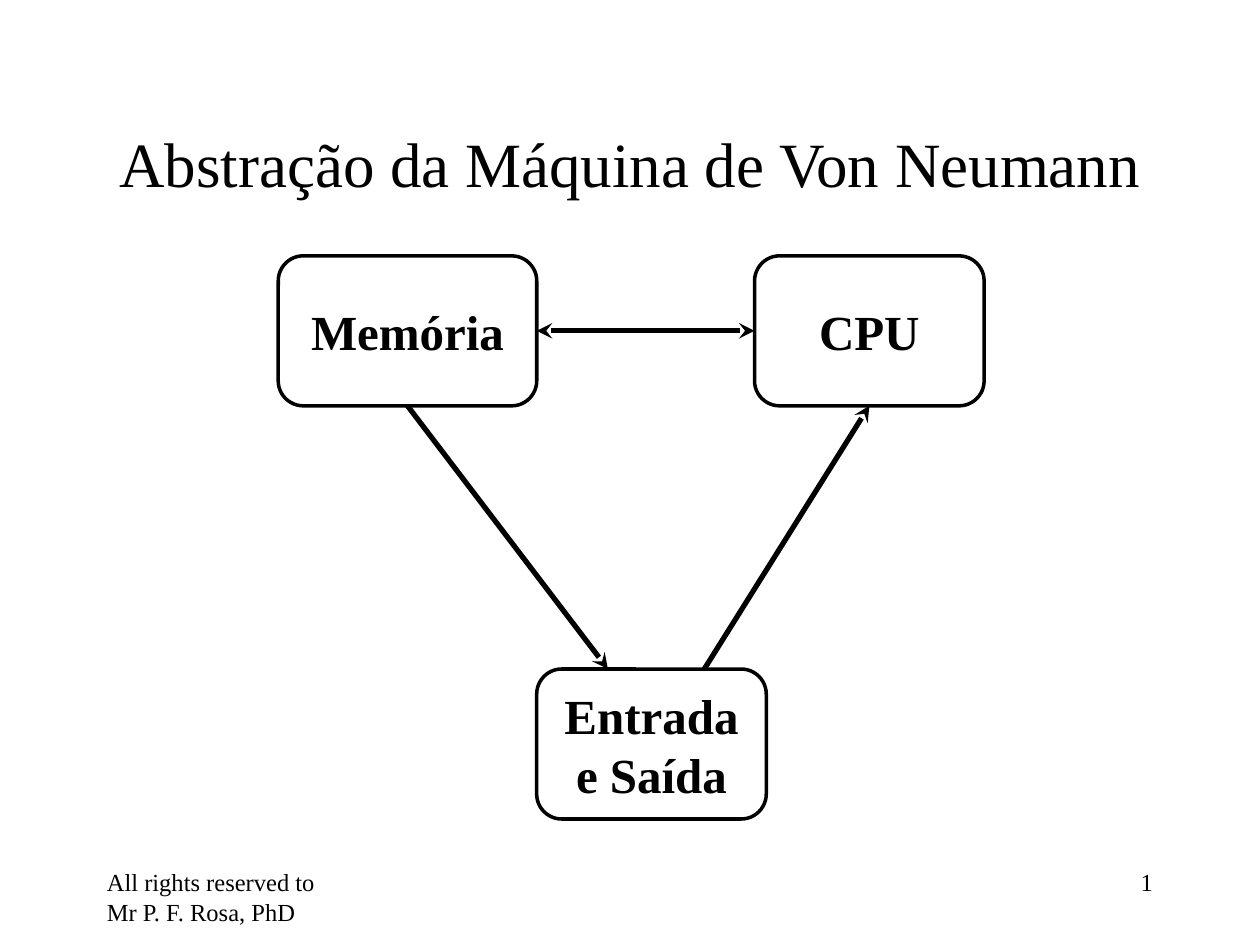
from dataclasses import dataclass

from lxml import etree
from pptx import Presentation
from pptx.dml.color import RGBColor
from pptx.enum.shapes import MSO_CONNECTOR, MSO_SHAPE
from pptx.enum.text import MSO_ANCHOR, MSO_AUTO_SIZE, PP_ALIGN
from pptx.oxml.ns import qn
from pptx.util import Pt

BLACK = RGBColor(0, 0, 0)
FONT = "Times New Roman"
LEFT, CENTER, RIGHT = PP_ALIGN.LEFT, PP_ALIGN.CENTER, PP_ALIGN.RIGHT
TOP, MIDDLE = MSO_ANCHOR.TOP, MSO_ANCHOR.MIDDLE
NO_AUTOFIT = MSO_AUTO_SIZE.NONE
ROUNDED = MSO_SHAPE.ROUNDED_RECTANGLE
STRAIGHT = MSO_CONNECTOR.STRAIGHT
BOX_HEIGHT = 85.7
TOP_ROW, BOTTOM_ROW = 146.2, 382.3


@dataclass
class Unit:
    """A labelled box of the machine, in points."""
    label: str
    left: float
    top: float
    width: float

    def at(self, across: float, down: float) -> tuple[float, float]:
        """Return the point at the given fractions of width and height."""
        return self.left + across * self.width, self.top + down * BOX_HEIGHT


@dataclass
class Arrow:
    """A straight arrow between two points."""
    start: tuple[float, float]
    end: tuple[float, float]
    both_ways: bool = False


@dataclass
class FooterText:
    """A small text at the foot of the slide."""
    text: str
    left: float
    align: PP_ALIGN


def write_text(shape, text: str, size: float, align, anchor, bold: bool = False) -> None:
    """Fill a shape with one formatted paragraph."""
    frame = shape.text_frame
    frame.text = text
    frame.word_wrap = True
    frame.auto_size = NO_AUTOFIT
    frame.vertical_anchor = anchor
    para = frame.paragraphs[0]
    para.alignment = align
    font = para.runs[0].font
    font.name, font.size, font.bold = FONT, Pt(size), bold
    font.color.rgb = BLACK


def draw_unit(slide, unit: Unit) -> None:
    """Draw a rounded outline box with its label."""
    box = slide.shapes.add_shape(
        ROUNDED, Pt(unit.left), Pt(unit.top), Pt(unit.width), Pt(BOX_HEIGHT))
    box.shadow.inherit = False
    box.adjustments[0] = 0.167
    box.fill.background()
    box.line.color.rgb = BLACK
    box.line.width = Pt(2)
    write_text(box, unit.label, 28, CENTER, MIDDLE, bold=True)


def draw_arrow(slide, arrow: Arrow) -> None:
    """Draw a straight connector with stealth arrowheads."""
    points = [Pt(value) for value in (*arrow.start, *arrow.end)]
    connector = slide.shapes.add_connector(STRAIGHT, *points)
    connector.line.color.rgb = BLACK
    connector.line.width = Pt(3)
    outline = connector.line._get_or_add_ln()
    for tag in ("a:headEnd", "a:tailEnd") if arrow.both_ways else ("a:tailEnd",):
        etree.SubElement(outline, qn(tag), type="stealth")
    etree.SubElement(connector._element.spPr, qn("a:effectLst"))


def draw_footer(slide, footer: FooterText) -> None:
    """Draw one footer text."""
    box = slide.shapes.add_textbox(Pt(footer.left), Pt(492), Pt(150), Pt(36))
    write_text(box, footer.text, 14, footer.align, TOP)


def build() -> None:
    """Build the slide and save the deck."""
    deck = Presentation()
    deck.slide_width, deck.slide_height = Pt(720), Pt(540)
    slide = deck.slides.add_slide(deck.slide_layouts[5])

    title = slide.shapes.title
    title.left, title.top, title.width, title.height = Pt(54), Pt(48), Pt(612), Pt(90)
    write_text(title, "Abstração da Máquina de Von Neumann", 36, CENTER, MIDDLE)

    memory = Unit("Memória", 159, TOP_ROW, 147.7)
    devices = Unit("Entrada e Saída", 306.7, BOTTOM_ROW, 131.2)
    processor = Unit("CPU", 431.2, TOP_ROW, 131.2)
    for unit in (memory, devices, processor):
        draw_unit(slide, unit)

    arrows = [
        Arrow(memory.at(1, 0.5), processor.at(0, 0.5), both_ways=True),
        Arrow(memory.at(0.5, 1), devices.at(0.31, 0)),
        Arrow(devices.at(0.73, 0), processor.at(0.5, 1)),
    ]
    for arrow in arrows:
        draw_arrow(slide, arrow)

    footers = [
        FooterText("All rights reserved to Mr P. F. Rosa, PhD", 54, LEFT),
        FooterText("1", 516, RIGHT),
    ]
    for footer in footers:
        draw_footer(slide, footer)

    deck.save("out.pptx")


build()
